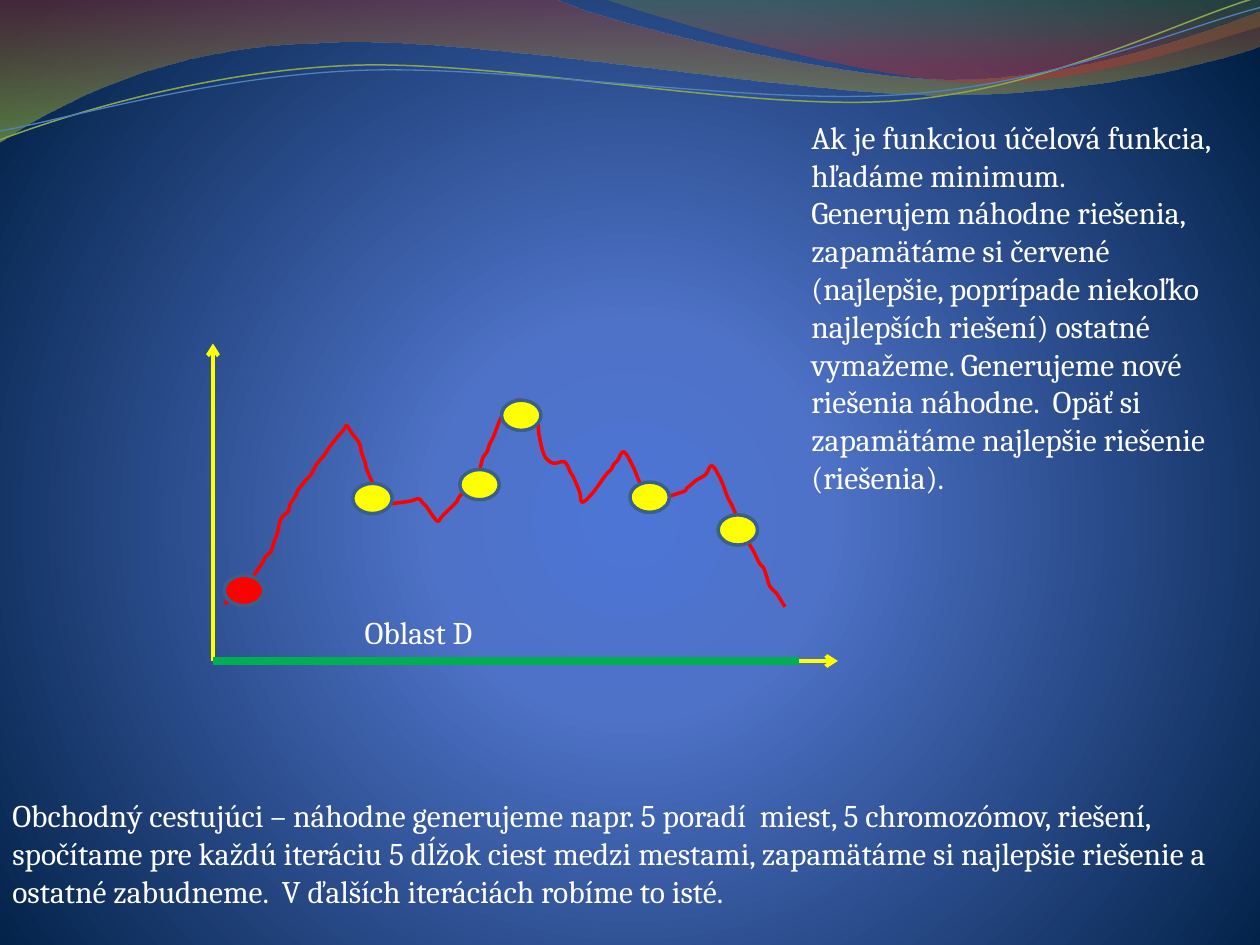
from pptx import Presentation
from pptx.dml.color import RGBColor
from pptx.enum.shapes import MSO_CONNECTOR, MSO_SHAPE
from pptx.enum.text import MSO_AUTO_SIZE
from pptx.oxml import parse_xml
from pptx.oxml.ns import nsdecls, qn
from pptx.util import Pt

STRAIGHT = MSO_CONNECTOR.STRAIGHT
ELLIPSE = MSO_SHAPE.OVAL
GROW = MSO_AUTO_SIZE.SHAPE_TO_FIT_TEXT

COLORS = {
    "text": "FFFFFF", "axis": "FFFF00", "domain": "00B050",
    "curve": "FF0000", "best": "FF0000", "solution": "FFFF00", "outline": "3A5F8C",
    "center": "4D75D6", "middle": "4E72C7", "edge": "001F44",
    "band_red": "973330", "band_green": "95C238",
    "crest_green": "769537", "crest_red": "BE3330",
    "wave_green": "89A54F", "wave_blue": "4F81BD",
}
FONT = "Cambria"
UNIT = 0.72
FINE = 36

BAND = [
    [(0, 0), (440, -1)],
    [(440, -1), (476, 17), (664, 63), (758, 63), (853, 63), (958, 26), (1000, 9)],
    [(1000, 9), (1001, 36)],
    [(1001, 36), (983, 44), (870, 76), (746, 75), (622, 75), (382, 28), (257, 34),
     (129, 36), (46, 83), (-1, 113)],
]
CREST = [
    [(479, -1), (509, 11), (682, 62), (769, 65), (856, 69), (961, 32), (1000, 21)],
    [(1000, 21), (1000, 0)],
]
GREEN_WAVE = [[(0, 111), (48, 93), (158, 57), (277, 52), (395, 47), (593, 89), (713, 80),
               (833, 71), (938, 15), (998, -2)]]
BLUE_WAVE = [[(0, 104), (47, 96), (164, 61), (283, 56), (403, 51), (597, 84), (717, 75),
              (836, 67), (941, 21), (1000, 6)]]

CURVE = [
    (0, 162), (20, 143), (24, 138), (29, 131), (33, 124), (37, 120), (40, 111), (42, 106),
    (45, 94), (51, 88), (52, 83), (57, 75), (58, 72), (65, 63), (68, 60), (71, 55), (73, 51),
    (79, 44), (81, 41), (85, 35), (95, 23), (97, 20), (101, 26), (107, 34), (109, 42),
    (110, 45), (112, 50), (113, 55), (120, 71), (122, 74), (130, 81), (133, 82), (148, 80),
    (154, 78), (157, 81), (160, 84), (167, 94), (170, 96), (173, 92), (184, 81), (187, 76),
    (200, 61), (204, 50), (205, 46), (209, 40), (210, 36), (214, 28), (219, 15), (224, 8),
    (227, 4), (233, 0), (240, 3), (247, 8), (249, 20), (250, 29), (254, 44), (261, 50),
    (270, 49), (275, 58), (277, 61), (282, 73), (284, 81), (292, 74), (303, 59), (307, 55),
    (309, 51), (312, 48), (317, 41), (324, 52), (331, 68), (339, 79), (363, 73), (367, 70),
    (374, 64), (382, 59), (387, 52), (394, 63), (399, 76), (401, 80), (404, 86), (409, 98),
    (410, 101), (412, 106), (414, 110), (417, 115), (420, 120), (425, 130), (428, 133),
    (431, 142), (433, 148), (438, 153), (443, 161), (445, 164),
]
MARKERS = [
    (164.9, 32.4, "solution"), (141.1, 72, "solution"), (238.3, 79.2, "solution"),
    (79.9, 79.9, "solution"), (6.5, 132.5, "best"), (288.7, 97.9, "solution"),
]

ADVICE = [
    "Ak je funkciou účelová funkcia, hľadáme minimum.",
    "Generujem náhodne riešenia, zapamätáme si červené (najlepšie, poprípade niekoľko "
    "najlepších riešení) ostatné vymažeme. Generujeme nové riešenia náhodne.  Opäť si "
    "zapamätáme najlepšie riešenie (riešenia).",
]
EXAMPLE = [
    "Obchodný cestujúci – náhodne generujeme napr. 5 poradí  miest, 5 chromozómov, riešení, "
    "spočítame pre každú iteráciu 5 dĺžok ciest medzi mestami, zapamätáme si najlepšie "
    "riešenie a ostatné zabudneme.  V ďalších iteráciách robíme to isté.",
]


def rgb(name):
    return RGBColor.from_string(COLORS[name])


def set_gradient(properties, stops, direction):
    stop_xml = "".join(
        f'<a:gs pos="{position * 1000}"><a:srgbClr val="{COLORS[name]}">'
        f'<a:alpha val="{opacity * 1000}"/></a:srgbClr></a:gs>'
        for position, name, opacity in stops
    )
    gradient = parse_xml(
        f'<a:gradFill {nsdecls("a")} rotWithShape="1">'
        f"<a:gsLst>{stop_xml}</a:gsLst>{direction}</a:gradFill>"
    )
    properties.replace(properties.find(qn("a:solidFill")), gradient)


def smooth_segments(points):
    padded = [points[0], *points, points[-1]]
    segments = []
    for before, start, end, after in zip(padded, padded[1:], padded[2:], padded[3:]):
        leave = tuple(s + (e - b) / 6 for b, s, e in zip(before, start, end))
        arrive = tuple(e - (a - s) / 6 for s, e, a in zip(start, end, after))
        segments.append([start, leave, arrive, end])
    return segments


def split_pieces(segments):
    pieces = []
    for segment in segments:
        step = 1 if len(segment) == 2 else 3
        for first in range(0, len(segment) - 1, step):
            pieces.append(segment[first + 1:first + step + 1])
    return pieces


def add_outline(slide, left, top, segments, closed=False):
    start = segments[0][0]
    pieces = split_pieces(segments)
    anchors = [(x * FINE, y * FINE) for x, y in [start] + [piece[-1] for piece in pieces]]
    builder = slide.shapes.build_freeform(*anchors[0], scale=Pt(UNIT) / FINE)
    builder.add_line_segments(anchors[1:], close=closed)
    shape = builder.convert_to_shape(Pt(left), Pt(top))
    shape.shadow.inherit = False
    min_x, min_y = (min(values) for values in zip(*anchors))
    lines = list(shape._element.iter(qn("a:lnTo")))
    for line, piece in zip(lines, pieces):
        if len(piece) == 3:
            controls = "".join(
                f'<a:pt x="{round(x * FINE - min_x)}" y="{round(y * FINE - min_y)}"/>'
                for x, y in piece
            )
            line.getparent().replace(line, parse_xml(
                f'<a:cubicBezTo {nsdecls("a")}>{controls}</a:cubicBezTo>'))
    return shape


def add_stroke(slide, left, top, segments, color, width):
    shape = add_outline(slide, left, top, segments)
    shape.fill.background()
    shape.line.color.rgb = rgb(color)
    shape.line.width = Pt(width)


def add_line(slide, start, end, color, width, arrow=False):
    connector = slide.shapes.add_connector(STRAIGHT, *map(Pt, start + end))
    connector.line.color.rgb = rgb(color)
    connector.line.width = Pt(width)
    if arrow:
        connector.line._get_or_add_ln().append(
            parse_xml(f'<a:tailEnd {nsdecls("a")} type="arrow"/>'))
    connector._element.spPr.append(parse_xml(f'<a:effectLst {nsdecls("a")}/>'))


def add_text(slide, box, paragraphs, size=18, color="text"):
    frame = slide.shapes.add_textbox(*map(Pt, box)).text_frame
    frame.word_wrap = True
    frame.auto_size = GROW
    for index, text in enumerate(paragraphs):
        paragraph = frame.add_paragraph() if index else frame.paragraphs[0]
        run = paragraph.add_run()
        run.text = text
        run.font.name = FONT
        run.font.size = Pt(size)
        run.font.color.rgb = rgb(color)


def paint_background(slide):
    slide.background.fill.solid()
    set_gradient(
        slide.element.find(".//" + qn("p:bgPr")),
        [(0, "center", 100), (25, "middle", 100), (100, "edge", 100)],
        '<a:path path="circle">'
        '<a:fillToRect l="10000" t="110000" r="10000" b="100000"/></a:path>',
    )


def draw_waves(slide, left, top):
    for segments, stops in (
        (BAND, [(0, "band_red", 45), (100, "band_green", 55)]),
        (CREST, [(0, "crest_green", 30), (80, "crest_red", 45)]),
    ):
        shape = add_outline(slide, left, top, segments, closed=True)
        shape.line.fill.background()
        shape.fill.solid()
        set_gradient(shape._element.spPr, stops, '<a:lin ang="5400000" scaled="0"/>')
    add_stroke(slide, left, top, GREEN_WAVE, "wave_green", 0.85)
    add_stroke(slide, left, top, BLUE_WAVE, "wave_blue", 0.75)


def draw_search_graph(slide, left, top, width, height):
    origin = (left, top + height)
    add_line(slide, origin, (left, top), "axis", 2.25, arrow=True)
    add_line(slide, origin, (left + width, top + height), "axis", 2.25, arrow=True)
    add_stroke(slide, left + 6.5, top + 32.4, smooth_segments(CURVE), "curve", 2)
    for x, y, color in MARKERS:
        marker = slide.shapes.add_shape(
            ELLIPSE, Pt(left + x), Pt(top + y), Pt(22.5), Pt(17.3))
        marker.shadow.inherit = False
        marker.fill.solid()
        marker.fill.fore_color.rgb = rgb(color)
        marker.line.color.rgb = rgb("outline")
        marker.line.width = Pt(2)
    add_line(slide, origin, (left + 334.8, top + height), "domain", 4.5)
    add_text(slide, (left + 79.6, top + 150.5, 198.7, 29), ["Oblast D"])


def main():
    presentation = Presentation()
    presentation.slide_width = Pt(720)
    presentation.slide_height = Pt(540)
    slide = presentation.slides.add_slide(presentation.slide_layouts[6])
    paint_background(slide)
    draw_waves(slide, 0, 0)
    draw_search_graph(slide, 121.7, 196.3, 357.1, 181.4)
    add_text(slide, (456.5, 63.8, 260.6, 225.4), ADVICE)
    add_text(slide, (0, 451.4, 717.1, 72.7), EXAMPLE)
    presentation.save("out.pptx")


if __name__ == "__main__":
    main()
